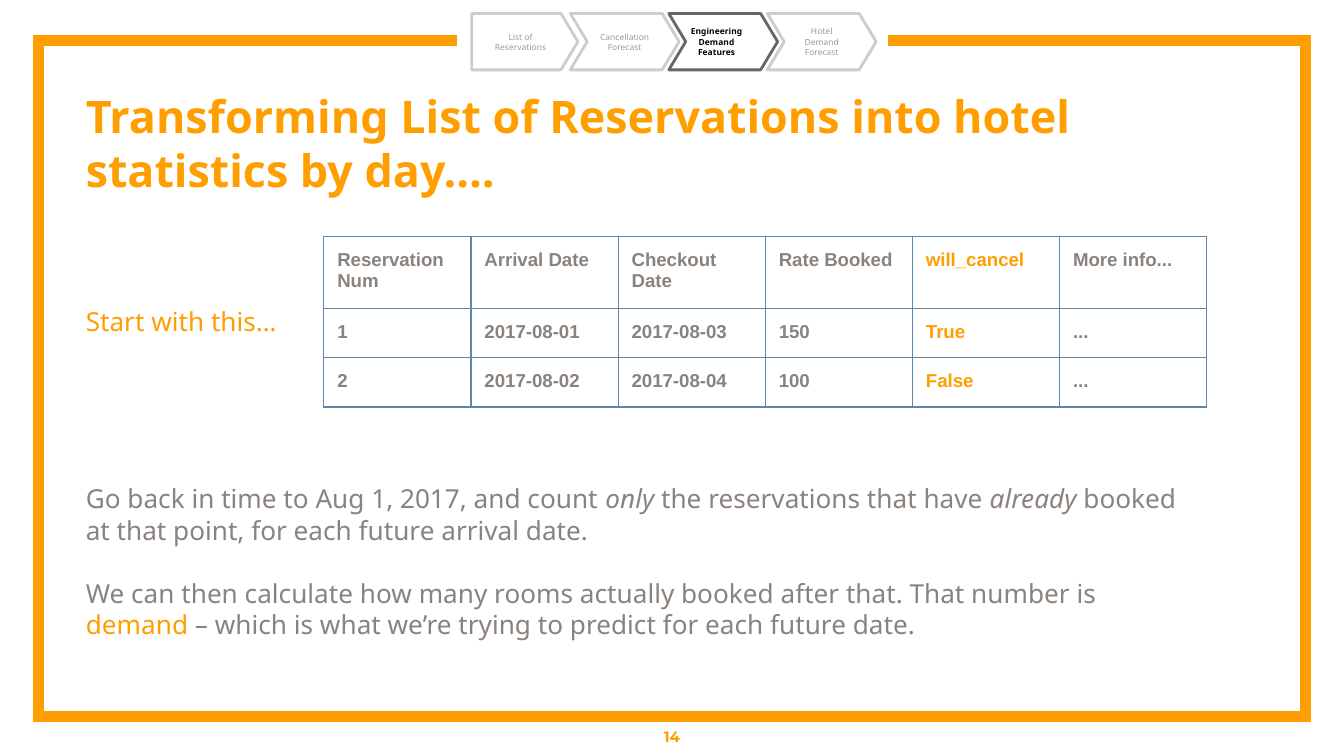
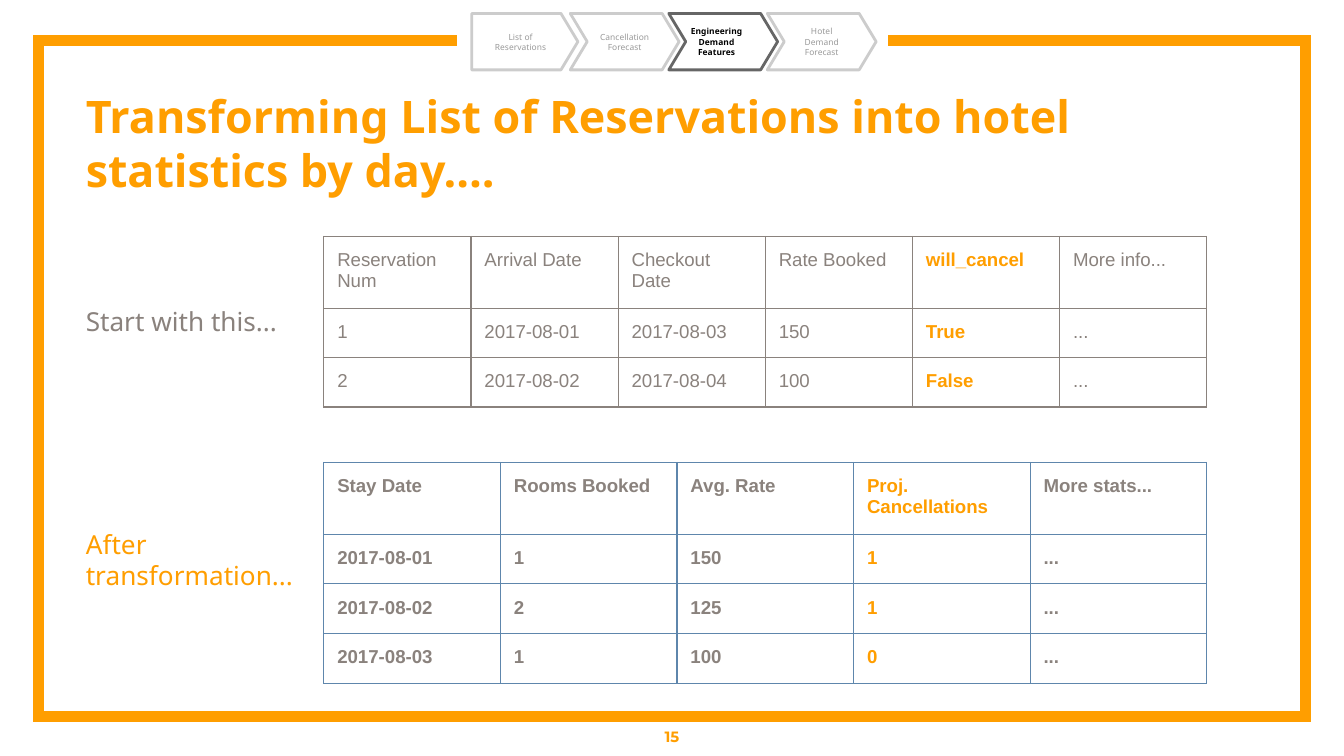
from dataclasses import dataclass

from lxml import etree
from pptx import Presentation
from pptx.dml.color import RGBColor
from pptx.enum.shapes import MSO_SHAPE
from pptx.enum.text import MSO_ANCHOR, PP_ALIGN
from pptx.oxml.ns import qn
from pptx.util import Emu, Inches, Pt

PLATE = MSO_SHAPE.PENTAGON
CHEVRON = MSO_SHAPE.CHEVRON
TOP, MIDDLE = MSO_ANCHOR.TOP, MSO_ANCHOR.MIDDLE
LEFT, CENTER = PP_ALIGN.LEFT, PP_ALIGN.CENTER

PAGE_WIDTH = Inches(10)
PAGE_HEIGHT = Inches(5.625)
COLUMNS = 100
ROWS = 56.25
MARGIN = 1
BODY_LEFT, BODY_WIDTH = 5.4, 84.4
TABLE_LEFT, TABLE_WIDTH = 24.1, 65.7


@dataclass(frozen=True)
class Style:
    font: str
    size: float
    color: str
    bold: bool = False


@dataclass(frozen=True)
class Theme:
    orange: str = "FF9E00"
    gray: str = "8A827D"
    blue: str = "5E86AC"
    active_line: str = "666666"
    idle_line: str = "CCCCCC"
    title: Style = Style("Noto Sans", 24, "FF9E00", True)
    label: Style = Style("Noto Sans", 14, "FF9E00")
    body: Style = Style("Noto Sans", 14, "8A827D")
    number: Style = Style("Montserrat", 8, "FF9E00", True)
    step: Style = Style("Noto Sans", 4.5, "999999")
    active_step: Style = Style("Noto Sans", 4.5, "000000", True)
    cell: Style = Style("Arial", 10, "8A827D")
    bold_cell: Style = Style("Arial", 10, "8A827D", True)
    accent_cell: Style = Style("Arial", 10, "FF9E00", True)
    frame_width: float = 6
    step_width: float = 1.5
    border_width: float = 0.75
    paragraph_gap: float = 17


THEME = Theme()


@dataclass(frozen=True)
class Area:
    left: float
    top: float
    width: float
    height: float

    def lengths(self) -> tuple[Emu, Emu, Emu, Emu]:
        return across(self.left), down(self.top), across(self.width), down(self.height)


@dataclass(frozen=True)
class Span:
    text: str
    italic: bool = False
    color: str | None = None


@dataclass(frozen=True)
class Step:
    text: str
    left_inset: float = MARGIN
    right_inset: float = MARGIN
    active: bool = False


@dataclass(frozen=True)
class Grid:
    top: float
    row_heights: tuple[float, ...]
    rows: tuple[tuple[str, ...], ...]
    accent_column: int


@dataclass(frozen=True)
class Label:
    text: str
    area: Area


TITLE = "Transforming List of Reservations into hotel statistics by day…."
STEPS = (
    Step("List of Reservations"),
    Step("Cancellation Forecast", 0, 0),
    Step("Engineering Demand Features", 0, active=True),
    Step("Hotel Demand Forecast"),
)
RESERVATIONS = Grid(17.6, (5.1, 3.57, 3.57), (
    ("Reservation Num", "Arrival Date", "Checkout Date", "Rate Booked",
     "will_cancel", "More info..."),
    ("1", "2017-08-01", "2017-08-03", "150", "True", "..."),
    ("2", "2017-08-02", "2017-08-04", "100", "False", "..."),
), 4)
STAYS = Grid(34.4, (5.3, 3.7, 3.7, 3.7), (
    ("Stay Date", "Rooms Booked", "Avg. Rate", "Proj. Cancellations", "More stats..."),
    ("2017-08-01", "1", "150", "1", "..."),
    ("2017-08-02", "2", "125", "1", "..."),
    ("2017-08-03", "1", "100", "0", "..."),
), 3)
START_AREA = Area(BODY_LEFT, 21.7, 17.7, 4.4)
AFTER_AREA = Area(BODY_LEFT, 38.3, 18.2, 6.7)
EXPLANATION = (
    (Span("Go back in time to Aug 1, 2017, and count "),
     Span("only", italic=True),
     Span(" the reservations that have "),
     Span("already", italic=True),
     Span(" booked at that point, for each future arrival date.")),
    (Span("We can then calculate how many rooms actually booked after that. That number is "),
     Span("demand", color=THEME.orange),
     Span(" – which is what we’re trying to predict for each future date.")),
)


def across(columns: float) -> Emu:
    return Emu(round(PAGE_WIDTH * columns / COLUMNS))


def down(rows: float) -> Emu:
    return Emu(round(PAGE_HEIGHT * rows / ROWS))


def set_font(para, style: Style) -> None:
    para.font.name = style.font
    para.font.size = Pt(style.size)
    para.font.bold = style.bold
    para.font.color.rgb = RGBColor.from_string(style.color)


def write(frame, paragraphs, style: Style, align=LEFT, anchor=TOP,
          left_inset: float = MARGIN, right_inset: float = MARGIN) -> None:
    frame.word_wrap = True
    frame.vertical_anchor = anchor
    frame.margin_left, frame.margin_right = across(left_inset), across(right_inset)
    frame.margin_top = frame.margin_bottom = down(MARGIN)
    for index, spans in enumerate(paragraphs):
        para = frame.add_paragraph() if index else frame.paragraphs[0]
        para.alignment = align
        if index:
            para.space_before = Pt(THEME.paragraph_gap)
        set_font(para, style)
        for span in spans:
            run = para.add_run()
            run.text = span.text
            if span.italic:
                run.font.italic = True
            if span.color:
                run.font.color.rgb = RGBColor.from_string(span.color)


def add_text(page, area: Area, paragraphs, style: Style, align=LEFT, anchor=TOP) -> None:
    box = page.shapes.add_textbox(*area.lengths())
    write(box.text_frame, paragraphs, style, align, anchor)


def outline(shape, color: str, width: float) -> None:
    shape.shadow.inherit = False
    shape.fill.background()
    shape.line.color.rgb = RGBColor.from_string(color)
    shape.line.width = Pt(width)


def add_frame(page) -> None:
    left, right, top, bottom = 2.84, 97.16, 3, 53.3
    corners = ((left, top), (left, bottom), (right, bottom), (right, top), (66.1, top))
    builder = page.shapes.build_freeform(across(34), down(top))
    builder.add_line_segments([(across(x), down(y)) for x, y in corners], close=False)
    border = builder.convert_to_shape()
    outline(border, THEME.orange, THEME.frame_width)
    line = border.line.fill._xPr
    etree.SubElement(line, qn("a:miter"), lim="800000")


def add_steps(page) -> None:
    for index, step in enumerate(STEPS):
        area = Area(35.1 + 7.33 * index, 1, 8.1 if index else 7.9, 4.2)
        shape = page.shapes.add_shape(CHEVRON if index else PLATE, *area.lengths())
        shape.adjustments[0] = 0.3
        outline(shape, THEME.active_line if step.active else THEME.idle_line, THEME.step_width)
        style = THEME.active_step if step.active else THEME.step
        write(shape.text_frame, [[Span(step.text)]], style, CENTER, MIDDLE,
              step.left_inset, step.right_inset)


def add_borders(cell, color: str) -> None:
    properties = cell._tc.get_or_add_tcPr()
    for index, side in enumerate(("lnL", "lnR", "lnT", "lnB")):
        line = etree.Element(qn(f"a:{side}"), w=str(Pt(THEME.border_width)))
        fill = etree.SubElement(line, qn("a:solidFill"))
        etree.SubElement(fill, qn("a:srgbClr"), val=color)
        properties.insert(index, line)


def add_grid(page, grid: Grid, style: Style, border: str) -> None:
    count = len(grid.rows[0])
    area = Area(TABLE_LEFT, grid.top, TABLE_WIDTH, sum(grid.row_heights))
    table = page.shapes.add_table(len(grid.rows), count, *area.lengths()).table
    table.first_row = table.horz_banding = False
    for column in table.columns:
        column.width = across(TABLE_WIDTH / count)
    for row, height in zip(table.rows, grid.row_heights):
        row.height = down(height)
    for row, texts in zip(table.rows, grid.rows):
        for index, (cell, text) in enumerate(zip(row.cells, texts)):
            cell.fill.background()
            cell.margin_left = cell.margin_right = across(MARGIN)
            cell.margin_top = cell.margin_bottom = down(MARGIN)
            cell.text = text
            accented = index == grid.accent_column
            set_font(cell.text_frame.paragraphs[0], THEME.accent_cell if accented else style)
            add_borders(cell, border)


def add_label(page, label: Label, style: Style) -> None:
    add_text(page, label.area, [[Span(label.text)]], style)


def add_page(deck, number: int):
    page = deck.slides.add_slide(deck.slide_layouts[6])
    add_frame(page)
    add_text(page, Area(0, 53.3, COLUMNS, 3), [[Span(str(number))]],
             THEME.number, CENTER, MIDDLE)
    add_steps(page)
    add_text(page, Area(BODY_LEFT, 5.6, BODY_WIDTH, 11.7), [[Span(TITLE)]], THEME.title)
    return page


def add_starting_page(deck) -> None:
    page = add_page(deck, 14)
    add_grid(page, RESERVATIONS, THEME.bold_cell, THEME.blue)
    add_label(page, Label("Start with this…", START_AREA), THEME.label)
    add_text(page, Area(BODY_LEFT, 34.9, BODY_WIDTH, 13.8), EXPLANATION, THEME.body)


def add_transformed_page(deck) -> None:
    page = add_page(deck, 15)
    add_grid(page, RESERVATIONS, THEME.cell, THEME.gray)
    add_label(page, Label("Start with this...", START_AREA), THEME.body)
    add_grid(page, STAYS, THEME.bold_cell, THEME.blue)
    add_label(page, Label("After transformation...", AFTER_AREA), THEME.label)


def main() -> None:
    deck = Presentation()
    deck.slide_width, deck.slide_height = PAGE_WIDTH, PAGE_HEIGHT
    add_starting_page(deck)
    add_transformed_page(deck)
    deck.save("out.pptx")


if __name__ == "__main__":
    main()
